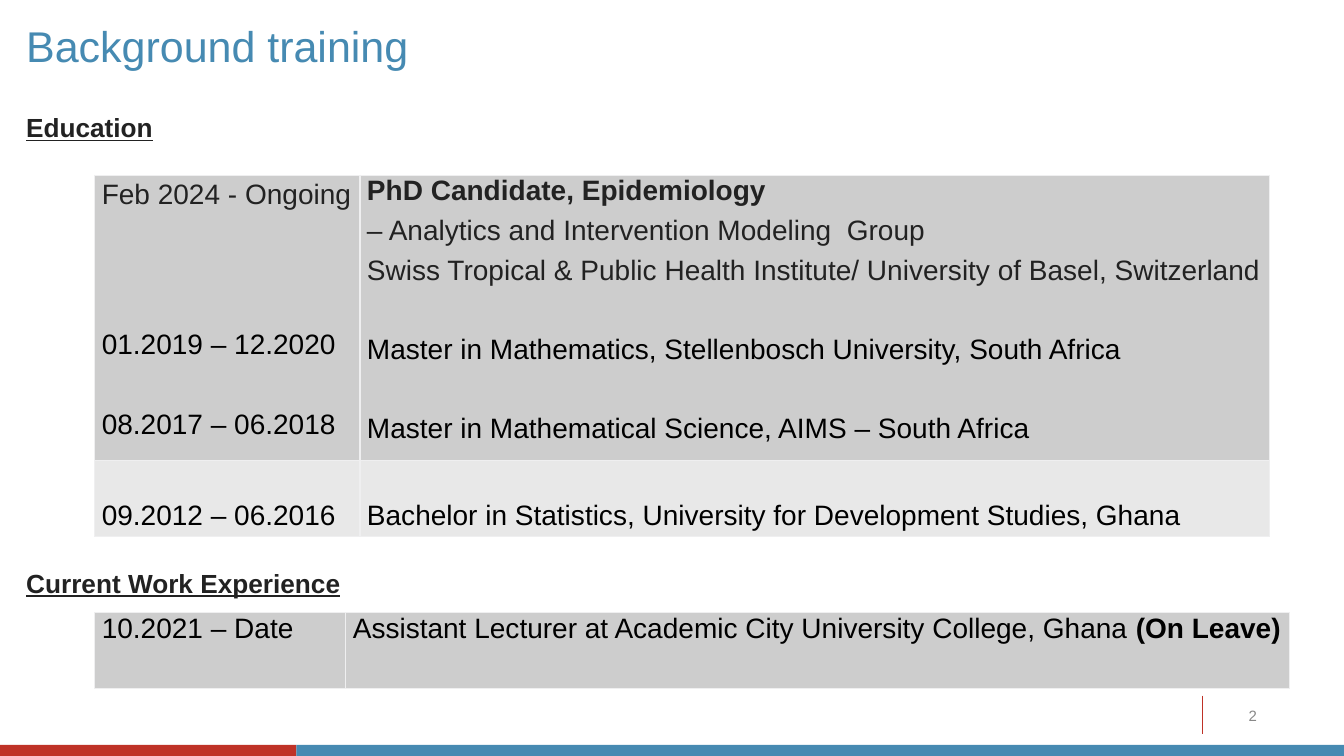
from lxml import etree
from pptx import Presentation
from pptx import util as u
from pptx.dml.color import RGBColor
from pptx.enum import shapes, text
from pptx.oxml.ns import qn

THEME = dict(
    font="Arial", blue="468AB2", red="BF3227", ink="222222", black="000000",
    grey="888888", dark_row="CDCDCD", light_row="E8E8E8", border="EFEFF0",
    title=30.7, heading=18.7, body=20, number=10.7,
)
BLANK_LINE = 28.3  # points taken by one line and its spacing

prs = Presentation()
prs.slide_width, prs.slide_height = u.Inches(13.33), u.Inches(7.5)
s = prs.slides.add_slide(prs.slide_layouts[6])


def share(x, y, w, h):
    """Turn percentages of the slide into lengths."""
    return [u.Emu(round(size * part / 100)) for size, part in zip(
        (prs.slide_width, prs.slide_height) * 2, (x, y, w, h))]


def style(p, size, color, bold=False):
    p.font.name, p.font.size, p.font.bold = THEME["font"], u.Pt(THEME[size]), bold
    p.font.color.rgb = RGBColor.from_string(THEME[color])


# Footer bars and divider
for x, w, color in ((0, 22.05, "red"), (22.05, 77.95, "blue")):
    bar = s.shapes.add_shape(shapes.MSO_SHAPE.RECTANGLE, *share(x, 98.53, w, 1.47))
    bar.shadow.inherit = False
    bar.fill.solid()
    bar.fill.fore_color.rgb = RGBColor.from_string(THEME[color])
    bar.line.fill.background()

x1, y1, x2, y2 = share(89.47, 92, 89.47, 97.07)
divider = s.shapes.add_connector(shapes.MSO_CONNECTOR.STRAIGHT, x1, y1, x2, y2)
divider.line.color.rgb = RGBColor.from_string(THEME["red"])
divider.line.width = u.Pt(0.75)
etree.SubElement(divider.element.spPr, qn("a:effectLst"))

# Title, headings and slide number
labels = (
    ("Background training", (1.95, 0.53, 89, 10.8), "title", "blue"),
    ("Education", (1.95, 14.13, 89, 5.33), "heading", "ink"),
    ("Current Work Experience", (1.95, 74.4, 89, 5.33), "heading", "ink"),
    ("2", (89.4, 92, 5.1, 5.33), "number", "grey"),
)
for words, place, size, color in labels:
    tf = s.shapes.add_textbox(*share(*place)).text_frame
    tf.word_wrap = True
    tf.vertical_anchor = text.MSO_ANCHOR.MIDDLE
    tf.margin_left, tf.margin_right = 0, u.Inches(0.13)
    p = tf.paragraphs[0]
    p.text = words
    style(p, size, color, bold=size == "heading")
    p.font.underline = size == "heading"
    if size == "number":
        p.alignment = text.PP_ALIGN.RIGHT

# Tables: each cell is (top margin in inches, paragraphs);
# each paragraph is (blank lines before, colour, bold, words)
education = [
    [(0.04, [(0, "ink", False, "Feb 2024 - Ongoing"),
             (3, "black", False, "01.2019 – 12.2020"),
             (1, "black", False, "08.2017 – 06.2018")]),
     (0, [(0, "ink", True, "PhD Candidate, Epidemiology"),
          (0, "ink", False, "– Analytics and Intervention Modeling  Group"),
          (0, "ink", False, "Swiss Tropical & Public Health Institute/ University of Basel, Switzerland"),
          (1, "black", False, "Master in Mathematics, Stellenbosch University, South Africa"),
          (1, "black", False, "Master in Mathematical Science, AIMS – South Africa")])],
    [(0.39, [(0, "black", False, "09.2012 – 06.2016")]),
     (0.39, [(0, "black", False, "Bachelor in Statistics, University for Development Studies, Ghana")])],
]
work = [
    [(0, [(0, "black", False, "10.2021 – Date")]),
     (0, [(0, "black", False, "Assistant Lecturer at Academic City University College, Ghana ")])],
]
tables = (
    (education, 23.2, (19.73, 67.67), (37.73, 10)),
    (work, 81.07, (18.68, 70.2), (10,)),
)
for rows, top, widths, heights in tables:
    place = share(7.05, top, sum(widths), sum(heights))
    table = s.shapes.add_table(len(rows), len(widths), *place).table
    table.first_row = table.horz_banding = False
    for column, w in zip(table.columns, widths):
        column.width = share(0, 0, w, 0)[2]
    for row, h in zip(table.rows, heights):
        row.height = share(0, 0, 0, h)[3]

    for i, row in enumerate(rows):
        for j, (margin, paragraphs) in enumerate(row):
            cell = table.cell(i, j)
            cell.margin_left = cell.margin_right = u.Inches(0.07)
            cell.margin_top, cell.margin_bottom = u.Inches(margin), 0
            tcPr = cell._tc.get_or_add_tcPr()
            for side in ("lnL", "lnR", "lnT", "lnB"):
                ln = etree.SubElement(tcPr, qn("a:" + side), w=str(u.Pt(1)))
                fill = etree.SubElement(ln, qn("a:solidFill"))
                etree.SubElement(fill, qn("a:srgbClr"), val=THEME["border"])
            cell.fill.solid()
            cell.fill.fore_color.rgb = RGBColor.from_string(
                THEME["light_row" if i else "dark_row"])

            tf = cell.text_frame
            for n, (blanks, color, bold, words) in enumerate(paragraphs):
                p = tf.add_paragraph() if n else tf.paragraphs[0]
                p.add_run().text = words
                style(p, "body", color, bold)
                if blanks:
                    p.space_before = u.Pt(blanks * BLANK_LINE)
                # The opening date sits directly above its gap
                p.space_after = u.Pt(0 if margin and n == 0 else 6)

# Bold remark closing the work entry
r = table.cell(0, 1).text_frame.paragraphs[0].add_run()
r.text = "(On Leave)"
r.font.bold = True

prs.save("out.pptx")
